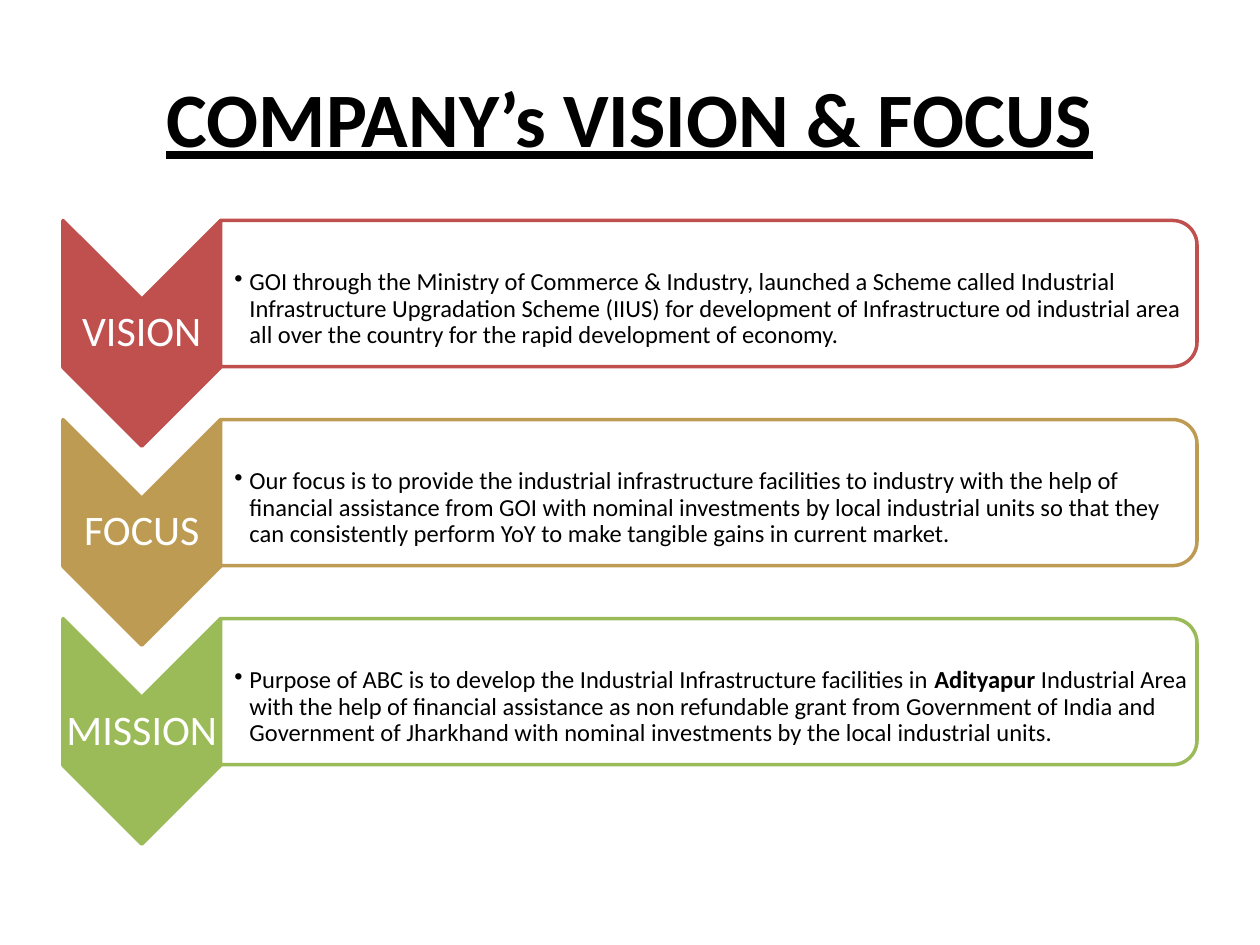
from lxml import etree
from pptx import Presentation
from pptx.dml.color import RGBColor
from pptx.enum.shapes import MSO_SHAPE
from pptx.enum.text import MSO_ANCHOR, PP_ALIGN
from pptx.oxml.ns import qn
from pptx.util import Inches, Pt

CHEVRON = MSO_SHAPE.CHEVRON
PANEL = MSO_SHAPE.ROUND_2_SAME_RECTANGLE
MIDDLE = MSO_ANCHOR.MIDDLE
CENTER, LEFT = PP_ALIGN.CENTER, PP_ALIGN.LEFT

ROW_LEFT, ROW_TOP, ROW_PITCH, ROW_WIDTH = 0.5, 1.75, 1.58, 9
CHEVRON_WIDTH, CHEVRON_HEIGHT, PANEL_HEIGHT = 1.25, 1.79, 1.16

ROWS = [
    ("VISION", "C0504D", [
        ("GOI through the Ministry of Commerce & Industry, launched a Scheme called "
         "Industrial Infrastructure Upgradation Scheme (IIUS) for development of "
         "Infrastructure od industrial area all over the country for the rapid "
         "development of economy.", False)]),
    ("FOCUS", "BD9B53", [
        ("Our focus is to provide the industrial infrastructure facilities to industry "
         "with the help of financial assistance from GOI with nominal investments by "
         "local industrial units so that they can consistently perform YoY to make "
         "tangible gains in current market.", False)]),
    ("MISSION", "9BBB59", [
        ("Purpose of ABC is to develop the Industrial Infrastructure facilities in\u00a0", False),
        ("Adityapur", True),
        ("\u00a0Industrial Area with the help of financial assistance as non refundable "
         "grant from Government of India and Government of Jharkhand with nominal "
         "investments by the local industrial units.", False)]),
]


def color(value):
    """Return the colour for a hex string."""
    return RGBColor.from_string(value)


def write_text(shape, runs, size, fill="000000", align=LEFT, underline=False,
               spacing=None, insets=None, bullet=False):
    """Write (text, bold) runs as one formatted paragraph of a shape."""
    frame = shape.text_frame
    frame.word_wrap = True
    frame.vertical_anchor = MIDDLE
    if insets:
        (frame.margin_left, frame.margin_top,
         frame.margin_right, frame.margin_bottom) = map(Inches, insets)
    paragraph = frame.paragraphs[0]
    paragraph.alignment = align
    if spacing:
        paragraph.line_spacing = spacing
    for text, bold in runs:
        run = paragraph.add_run()
        run.text = text
        font = run.font
        font.name, font.size, font.bold = "Calibri", Pt(size), bold
        font.underline = underline
        font.color.rgb = color(fill)
    if bullet:
        properties = paragraph._p.get_or_add_pPr()
        properties.set("marL", str(Inches(0.12)))
        properties.set("indent", str(-Inches(0.12)))
        etree.SubElement(properties, qn("a:buChar")).set("char", "•")


def add_turned_shape(slide, kind, left, top, width, height, fill, line):
    """Add a shape turned clockwise by 90 degrees that covers the given box."""
    shape = slide.shapes.add_shape(
        kind, Inches(left + (width - height) / 2), Inches(top + (height - width) / 2),
        Inches(height), Inches(width))
    shape.rotation = 90
    shape.shadow.inherit = False
    shape.fill.solid()
    shape.fill.fore_color.rgb = color(fill)
    shape.line.color.rgb = color(line)
    shape.line.width = Pt(2)


def add_text_box(slide, left, top, width, height, runs, size, **text_format):
    """Add a text box with formatted runs."""
    box = slide.shapes.add_textbox(*map(Inches, (left, top, width, height)))
    write_text(box, runs, size, **text_format)


def add_title(slide, left, top, width, height, text):
    """Place and fill the title placeholder."""
    title = slide.shapes.title
    title.left, title.top, title.width, title.height = map(
        Inches, (left, top, width, height))
    write_text(title, [(text, True)], 44, align=CENTER, underline=True)


def add_row(slide, left, top, width, label, accent, runs):
    """Add a labelled chevron and its bulleted panel."""
    panel_left = left + CHEVRON_WIDTH
    panel_width = width - CHEVRON_WIDTH
    add_turned_shape(slide, CHEVRON, left, top, CHEVRON_WIDTH, CHEVRON_HEIGHT,
                     accent, accent)
    add_text_box(slide, left, top + CHEVRON_WIDTH / 2, CHEVRON_WIDTH,
                 CHEVRON_HEIGHT - CHEVRON_WIDTH, [(label, False)], 24, fill="FFFFFF",
                 align=CENTER, spacing=0.9, insets=(0.02, 0.02, 0.02, 0.02))
    add_turned_shape(slide, PANEL, panel_left, top, panel_width, PANEL_HEIGHT,
                     "FFFFFF", accent)
    add_text_box(slide, panel_left, top + 0.06, panel_width - 0.06, PANEL_HEIGHT - 0.11,
                 runs, 14, spacing=0.9, insets=(0.11, 0.25, 0.01, 0.01), bullet=True)


def main():
    """Build and save the slide."""
    presentation = Presentation()
    presentation.slide_width, presentation.slide_height = Inches(10), Inches(7.5)
    slide = presentation.slides.add_slide(presentation.slide_layouts[5])
    add_title(slide, 0.5, 0.3, 9, 1.25, "COMPANY’s VISION & FOCUS")
    for index, row in enumerate(ROWS):
        add_row(slide, ROW_LEFT, ROW_TOP + index * ROW_PITCH, ROW_WIDTH, *row)
    presentation.save("out.pptx")


main()
